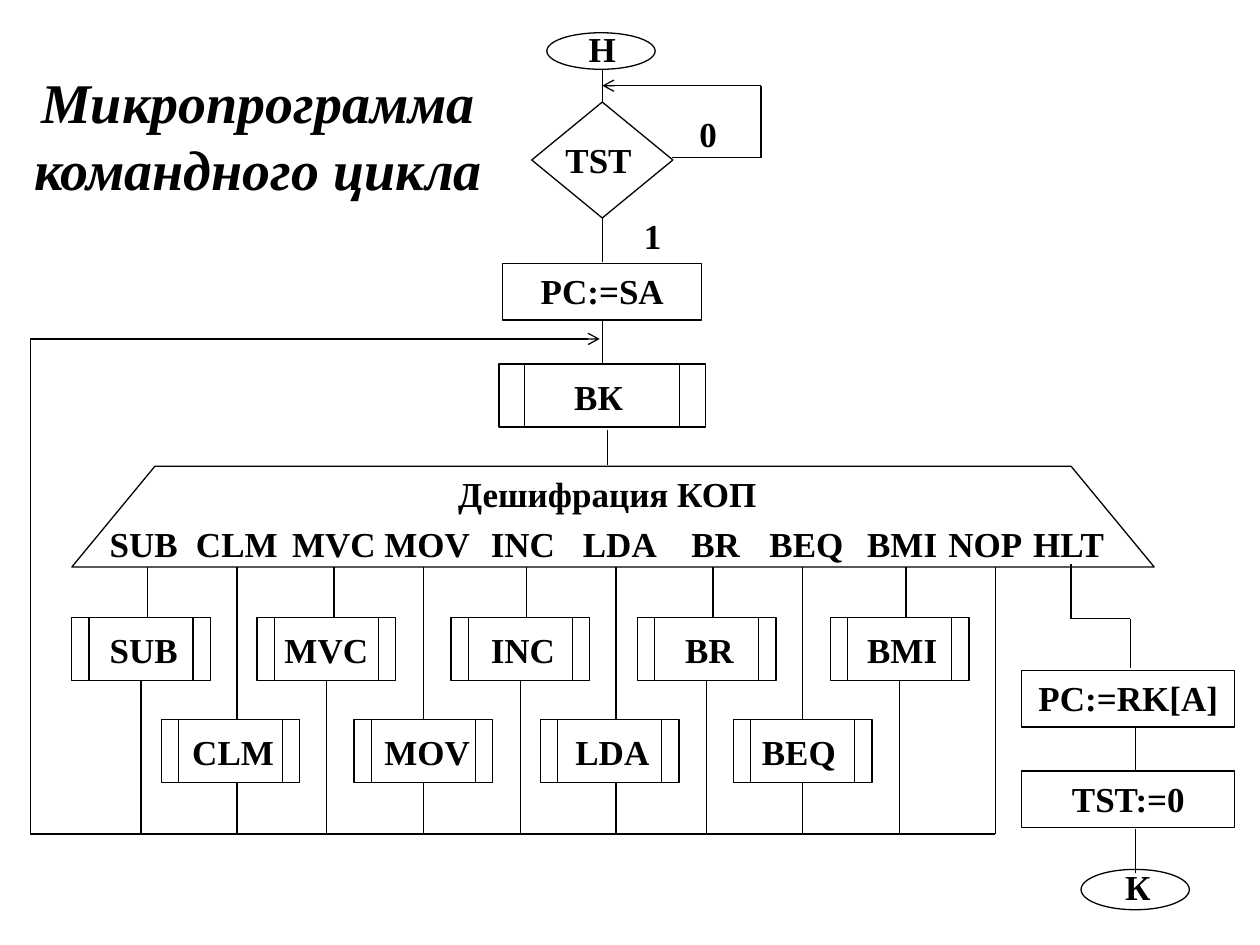
"""Build the flowchart slide of the instruction cycle microprogram."""
import pptx
import pptx.util
import pptx.dml.color
import pptx.enum.shapes
import pptx.enum.text
import pptx.oxml
import pptx.oxml.ns
from pptx.util import Inches

COLORS = {"ink": "000000"}
FONT = "Times New Roman"
SHAPE = pptx.enum.shapes.MSO_SHAPE

TITLE = "Микропрограмма командного цикла"
OPCODES = [
    # name, label centre, stem x, box left, box label centre
    ("SUB", 1.14, 1.17, 0.57, 1.14),
    ("CLM", 1.88, 1.88, 1.28, 1.85),
    ("MVC", 2.65, 2.65, 2.04, 2.59),
    ("MOV", 3.39, 3.36, 2.81, 3.39),
    ("INC", 4.15, 4.18, 3.58, 4.15),
    ("LDA", 4.92, 4.89, 4.29, 4.86),
    ("BR", 5.68, 5.66, 5.06, 5.63),
    ("BEQ", 6.4, 6.37, 5.82, 6.34),
    ("BMI", 7.16, 7.19, 6.59, 7.16),
]
EXITS = [("NOP", 7.82), ("HLT", 8.48)]
SHAPES = [
    (SHAPE.OVAL, 4.34, 0.26, 0.86, 0.29, ""),
    (SHAPE.DIAMOND, 4.22, 0.81, 1.12, 0.92, ""),
    (SHAPE.RECTANGLE, 3.99, 2.09, 1.58, 0.45, "PC:=SA"),
    (SHAPE.FLOWCHART_PREDEFINED_PROCESS, 3.96, 2.89, 1.64, 0.5, ""),
    (SHAPE.RECTANGLE, 8.11, 5.32, 1.69, 0.45, "PC:=RK[A]"),
    (SHAPE.RECTANGLE, 8.11, 6.12, 1.69, 0.45, "TST:=0"),
    (SHAPE.OVAL, 8.58, 6.9, 0.86, 0.32, ""),
]
LABELS = [
    ("Н", 4.78, 0.17, 1.15),
    ("TST", 4.75, 1.05, 1.15),
    ("0", 5.62, 0.84, 0.81),
    ("1", 5.18, 1.65, 0.69),
    ("ВК", 4.75, 2.93, 1.15),
    ("Дешифрация КОП", 4.82, 3.7, 3.04),
    ("К", 9.03, 6.82, 1.15),
]
DECODER = [(0.57, 4.5), (1.23, 3.7), (8.5, 3.7), (9.16, 4.5)]
DECODER_BOTTOM, BUS = 4.5, 6.62
BOX_W, BOX_H, LABEL_W, LABEL_H = 1.1, 0.5, 0.92, 0.4
BOX_TOPS = (4.9, 5.71)
LINES = [
    (4.78, 0.55, 4.78, 0.82),
    (4.78, 1.73, 4.78, 2.08),
    (4.78, 2.55, 4.78, 2.9),
    (4.82, 3.41, 4.82, 3.69),
    (5.33, 1.25, 6.04, 1.25),
    (6.04, 1.25, 6.04, 0.68),
    (0.24, BUS, 0.24, 2.69),
    (0.24, BUS, 7.9, BUS),
    (7.9, DECODER_BOTTOM, 7.9, BUS),
    (8.5, 4.48, 8.5, 4.91),
    (8.5, 4.91, 8.97, 4.91),
    (8.97, 4.91, 8.97, 5.3),
    (9.01, 5.78, 9.01, 6.12),
    (9.01, 6.58, 9.01, 6.93),
]
ARROWS = [(6.04, 0.68, 4.78, 0.68), (0.24, 2.69, 4.76, 2.69)]


def ink():
    return pptx.dml.color.RGBColor.from_string(COLORS["ink"])


def write(sp, text, size=20, italic=False, anchor="TOP"):
    tf = sp.text_frame
    tf.auto_size = pptx.enum.text.MSO_AUTO_SIZE.NONE
    tf.word_wrap = True
    tf.vertical_anchor = pptx.enum.text.MSO_ANCHOR[anchor]
    p = tf.paragraphs[0]
    p.text = text
    p.alignment = pptx.enum.text.PP_ALIGN.CENTER
    p.font.name, p.font.size = FONT, pptx.util.Pt(size)
    p.font.bold, p.font.italic = True, italic
    p.font.color.rgb = ink()


def outline(sp):
    sp.shadow.inherit = False
    sp.fill.background()
    sp.line.color.rgb = ink()
    sp.line.width = pptx.util.Pt(0.75)


def add_box(s, kind, x, y, w, h, text=""):
    sp = s.shapes.add_shape(kind, *map(Inches, (x, y, w, h)))
    outline(sp)
    if text:
        write(sp, text)


def add_label(s, text, centre, y, w=LABEL_W):
    sp = s.shapes.add_textbox(*map(Inches, (centre - w / 2, y, w, LABEL_H)))
    write(sp, text)


def add_line(s, x1, y1, x2, y2, arrow=False):
    kind = pptx.enum.shapes.MSO_CONNECTOR.STRAIGHT
    line = s.shapes.add_connector(kind, *map(Inches, (x1, y1, x2, y2)))
    line.line.color.rgb = ink()
    line.line.width = pptx.util.Pt(0.75)
    props = line._element.spPr
    ns = pptx.oxml.ns.nsdecls("a")
    if arrow:
        ln = props.find(pptx.oxml.ns.qn("a:ln"))
        ln.append(pptx.oxml.parse_xml(f'<a:tailEnd {ns} type="arrow"/>'))
    props.append(pptx.oxml.parse_xml(f"<a:effectLst {ns}/>"))


def add_decoder(s):
    points = [(Inches(x), Inches(y)) for x, y in DECODER]
    builder = s.shapes.build_freeform(*points[0])
    builder.add_line_segments(points[1:], close=True)
    outline(builder.convert_to_shape())


def add_opcode(s, row, name, label_centre, stem, left, box_centre):
    top = BOX_TOPS[row]
    bottom = top + BOX_H
    add_label(s, name, label_centre, 4.1)
    add_box(s, SHAPE.FLOWCHART_PREDEFINED_PROCESS, left, top, BOX_W, BOX_H)
    add_label(s, name, box_centre, top + 0.04)
    add_line(s, stem, DECODER_BOTTOM, stem, top)
    drop = stem if row else left + BOX_W / 2
    add_line(s, drop, bottom, drop, BUS)


def main():
    prs = pptx.Presentation()
    prs.slide_width, prs.slide_height = Inches(10), Inches(7.5)
    s = prs.slides.add_slide(prs.slide_layouts[5])

    title = s.shapes.title
    title.left, title.top = Inches(0.16), Inches(0)
    title.width, title.height = Inches(3.78), Inches(2.14)
    write(title, TITLE, 32, True, "MIDDLE")

    add_decoder(s)
    for shape in SHAPES:
        add_box(s, *shape)
    for label in LABELS:
        add_label(s, *label)
    for i, opcode in enumerate(OPCODES):
        add_opcode(s, i % 2, *opcode)
    for name, centre in EXITS:
        add_label(s, name, centre, 4.1)
    for line in LINES:
        add_line(s, *line)
    for arrow in ARROWS:
        add_line(s, *arrow, arrow=True)

    prs.save("out.pptx")


if __name__ == "__main__":
    main()
